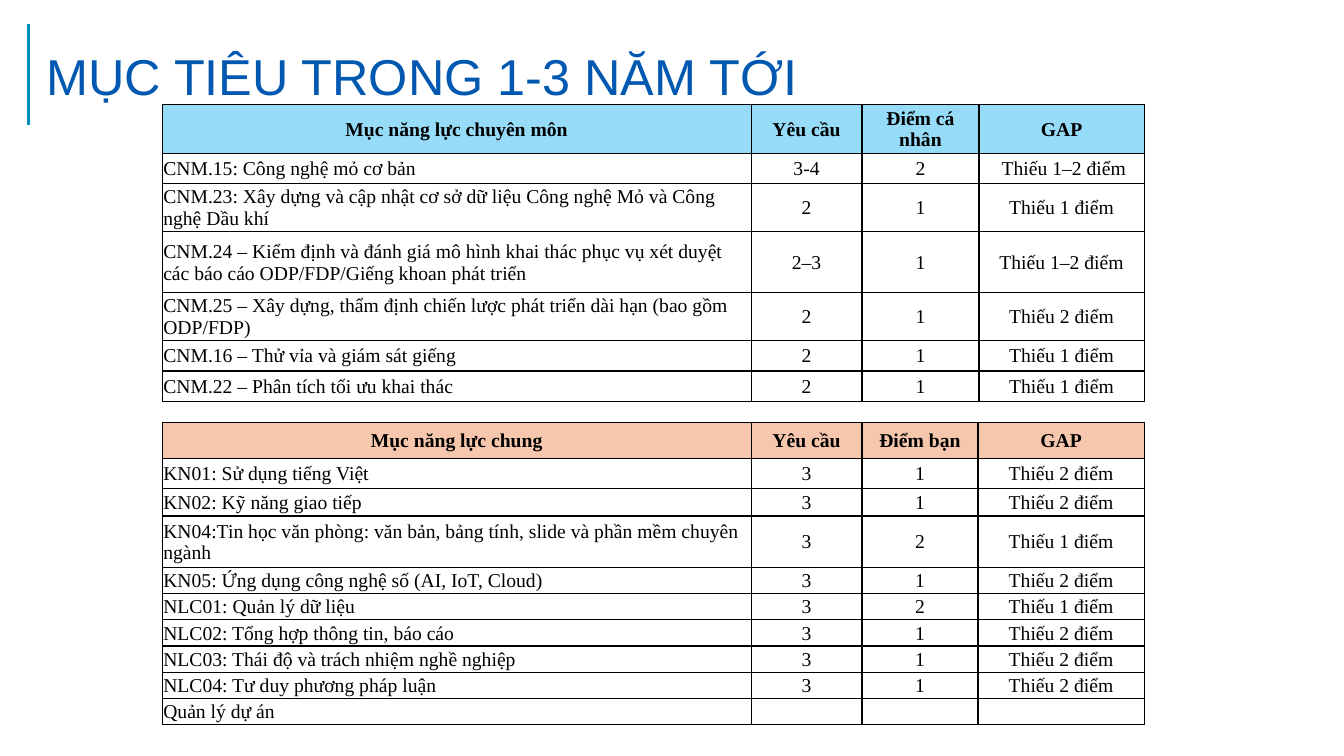
from dataclasses import dataclass
from typing import Optional

import lxml.etree
import pptx
import pptx.dml.color
import pptx.enum.shapes
import pptx.enum.text
import pptx.oxml.ns
import pptx.util

Inches = pptx.util.Inches
Pt = pptx.util.Pt
qn = pptx.oxml.ns.qn


@dataclass(frozen=True)
class Theme:
    title_font: str = "Arial"
    table_font: str = "Times New Roman"
    title_size: int = 36
    table_size: int = 14
    accent: str = "008EC0"
    title: str = "0058B0"
    ink: str = "000000"
    expert_header: str = "96DCF8"
    general_header: str = "F6C6AD"
    paper: str = "FFFFFF"


@dataclass(frozen=True)
class Skill:
    name: str
    required: str
    score: str
    gap: str
    height: float

    def texts(self) -> tuple[str, str, str, str]:
        return self.name, self.required, self.score, self.gap


@dataclass(frozen=True)
class SkillTable:
    top: float
    columns: tuple[float, ...]
    header_fill: str
    body_fill: Optional[str]
    rows: tuple[Skill, ...]


THEME = Theme()
TABLE_LEFT = 1.61

EXPERT_SKILLS = SkillTable(
    1.04, (5.84, 1.1, 1.16, 1.64), THEME.expert_header, None,
    (
        Skill("Mục năng lực chuyên môn", "Yêu cầu", "Điểm cá nhân", "GAP", 0.48),
        Skill("CNM.15: Công nghệ mỏ cơ bản", "3-4", "2", " Thiếu 1–2 điểm", 0.3),
        Skill("CNM.23: Xây dựng và cập nhật cơ sở dữ liệu Công nghệ Mỏ và Công nghệ Dầu khí",
              "2", "1", "Thiếu 1 điểm", 0.48),
        Skill("CNM.24 – Kiểm định và đánh giá mô hình khai thác phục vụ xét duyệt "
              "các báo cáo ODP/FDP/Giếng khoan phát triển",
              "2–3", "1", "Thiếu 1–2 điểm", 0.6),
        Skill("CNM.25 – Xây dựng, thẩm định chiến lược phát triển dài hạn (bao gồm ODP/FDP)",
              "2", "1", "Thiếu 2 điểm", 0.48),
        Skill("CNM.16 – Thử vỉa và giám sát giếng", "2", "1", "Thiếu 1 điểm", 0.3),
        Skill("CNM.22 – Phân tích tối ưu khai thác", "2", "1", "Thiếu 1 điểm", 0.3),
    ),
)

GENERAL_SKILLS = SkillTable(
    4.19, (5.84, 1.1, 1.15, 1.65), THEME.general_header, THEME.paper,
    (
        Skill("Mục năng lực chung", "Yêu cầu", "Điểm bạn", "GAP", 0.36),
        Skill("KN01: Sử dụng tiếng Việt", "3", "1", "Thiếu 2 điểm", 0.3),
        Skill("KN02: Kỹ năng giao tiếp", "3", "1", "Thiếu 2 điểm", 0.27),
        Skill("KN04:Tin học văn phòng: văn bản, bảng tính, slide và phần mềm chuyên ngành",
              "3", "2", "Thiếu 1 điểm", 0.51),
        Skill("KN05: Ứng dụng công nghệ số (AI, IoT, Cloud)", "3", "1", "Thiếu 2 điểm", 0.26),
        Skill("NLC01: Quản lý dữ liệu", "3", "2", "Thiếu 1 điểm", 0.26),
        Skill("NLC02: Tổng hợp thông tin, báo cáo", "3", "1", "Thiếu 2 điểm", 0.26),
        Skill("NLC03: Thái độ và trách nhiệm nghề nghiệp", "3", "1", "Thiếu 2 điểm", 0.26),
        Skill("NLC04: Tư duy phương pháp luận", "3", "1", "Thiếu 2 điểm", 0.26),
        Skill("Quản lý dự án", "", "", "", 0.26),
    ),
)


def rgb(value: str) -> pptx.dml.color.RGBColor:
    return pptx.dml.color.RGBColor.from_string(value)


def add_borders(cell) -> None:
    properties = cell._tc.get_or_add_tcPr()
    for index, side in enumerate(("lnL", "lnR", "lnT", "lnB")):
        border = lxml.etree.Element(qn(f"a:{side}"), w=str(Pt(1)))
        fill = lxml.etree.SubElement(border, qn("a:solidFill"))
        lxml.etree.SubElement(fill, qn("a:srgbClr"), val=THEME.ink)
        properties.insert(index, border)


def fill_cell(cell, text: str, bold: bool, centred: bool, fill: Optional[str]) -> None:
    cell.margin_left = cell.margin_right = cell.margin_top = Inches(0.01)
    cell.margin_bottom = 0
    cell.vertical_anchor = pptx.enum.text.MSO_ANCHOR.MIDDLE
    if fill:
        cell.fill.solid()
        cell.fill.fore_color.rgb = rgb(fill)
    else:
        cell.fill.background()
    add_borders(cell)
    paragraph = cell.text_frame.paragraphs[0]
    paragraph.text = text
    if centred:
        paragraph.alignment = pptx.enum.text.PP_ALIGN.CENTER
    for run in paragraph.runs:
        run.font.name = THEME.table_font
        run.font.size = Pt(THEME.table_size)
        run.font.bold = bold
        run.font.color.rgb = rgb(THEME.ink)
    if not text:
        lxml.etree.SubElement(paragraph._p, qn("a:endParaRPr"), sz=str(THEME.table_size * 100))


def add_skill_table(slide, skills: SkillTable) -> None:
    table = slide.shapes.add_table(
        len(skills.rows), len(skills.columns), Inches(TABLE_LEFT), Inches(skills.top),
        Inches(sum(skills.columns)), Inches(sum(skill.height for skill in skills.rows)),
    ).table
    table.horz_banding = False
    for column, width in zip(table.columns, skills.columns):
        column.width = Inches(width)
    for row_index, skill in enumerate(skills.rows):
        table.rows[row_index].height = Inches(skill.height)
        header = row_index == 0
        fill = skills.header_fill if header else skills.body_fill
        for column_index, text in enumerate(skill.texts()):
            fill_cell(table.cell(row_index, column_index), text, header,
                      header or column_index > 0, fill)


def add_accent(slide) -> None:
    accent = slide.shapes.add_connector(
        pptx.enum.shapes.MSO_CONNECTOR.STRAIGHT,
        Inches(0.28), Inches(0.24), Inches(0.28), Inches(1.24))
    accent.line.color.rgb = rgb(THEME.accent)
    accent.line.width = Pt(2.25)
    lxml.etree.SubElement(accent._element.spPr, qn("a:effectLst"))


def add_title(slide) -> None:
    frame = slide.shapes.add_textbox(
        Inches(0.36), Inches(0.37), Inches(10.8), Inches(0.73)).text_frame
    frame.word_wrap = True
    frame.vertical_anchor = pptx.enum.text.MSO_ANCHOR.BOTTOM
    frame.text = "MỤC TIÊU TRONG 1-3 NĂM TỚI"
    heading = frame.paragraphs[0]
    heading.line_spacing = 1.1
    heading.space_after = Pt(6)
    font = heading.runs[0].font
    font.name = THEME.title_font
    font.size = Pt(THEME.title_size)
    font.color.rgb = rgb(THEME.title)


def main() -> None:
    presentation = pptx.Presentation()
    presentation.slide_width = Inches(13.33)
    presentation.slide_height = Inches(7.5)
    slide = presentation.slides.add_slide(presentation.slide_layouts[6])
    add_accent(slide)
    add_title(slide)
    for skills in (EXPERT_SKILLS, GENERAL_SKILLS):
        add_skill_table(slide, skills)
    presentation.save("out.pptx")


if __name__ == "__main__":
    main()
